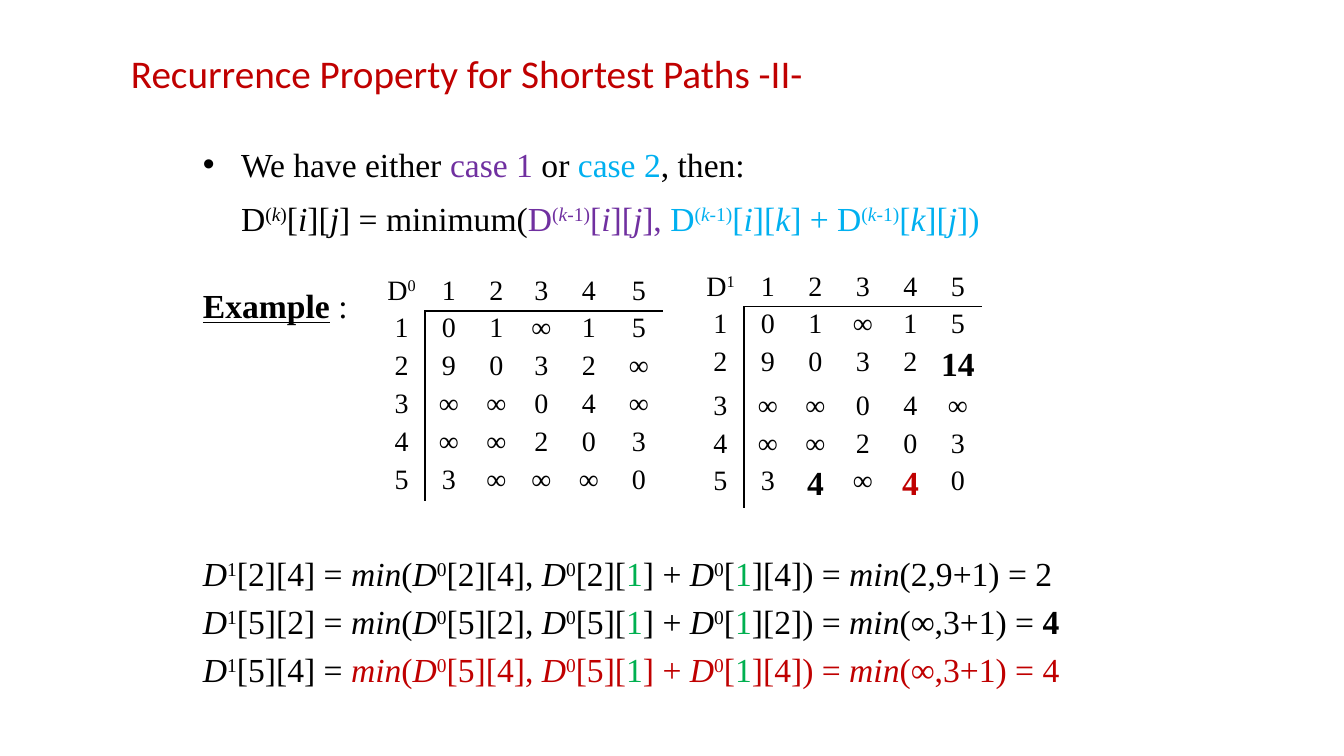
from dataclasses import dataclass, field

from lxml import etree
from pptx import Presentation
from pptx.dml.color import RGBColor
from pptx.enum.text import MSO_ANCHOR, PP_ALIGN
from pptx.oxml.ns import qn
from pptx.util import Emu, Pt

TOP, MIDDLE = MSO_ANCHOR.TOP, MSO_ANCHOR.MIDDLE
LEFT, CENTER = PP_ALIGN.LEFT, PP_ALIGN.CENTER
EMU_PER_PX = 914400 / 100.8
BLANK_LAYOUT = 6
TOGGLES = {"*": "italic", "!": "bold", "_": "underline", "^": "raised"}


def px(length):
    return Emu(round(length * EMU_PER_PX))


@dataclass(frozen=True)
class Theme:
    serif: str = "Times New Roman"
    sans: str = "Calibri"
    title_size: int = 28
    body_size: int = 24
    cell_size: int = 20
    colors: dict = field(default_factory=lambda: {
        "black": "000000", "red": "C00000", "purple": "7030A0",
        "blue": "00B0F0", "green": "00B050"})


class SlideBuilder:
    """Holds the theme and the current page.

    Markup: *italic* !bold! _underline_ ^raised^ and <color> switches.
    """

    def __init__(self, deck, theme):
        self.theme = theme
        self.page = deck.slides.add_slide(deck.slide_layouts[BLANK_LAYOUT])

    def span(self, para, text, color, style, font_name, size):
        span = para.add_run()
        span.text = text
        formats = {"name": font_name, "size": Pt(size)}
        formats.update({name: True for name in style if name != "raised"})
        for name, value in formats.items():
            setattr(span.font, name, value)
        span.font.color.rgb = RGBColor.from_string(self.theme.colors[color])
        if "raised" in style:
            span._r.get_or_add_rPr().set("baseline", "30000")

    def rich_text(self, para, markup, font_name, size):
        style = set()
        for part in ("<black>" + markup).split("<")[1:]:
            color, body = part.split(">", 1)
            text = ""
            for char in body:
                if char not in TOGGLES:
                    text += char
                    continue
                if text:
                    self.span(para, text, color, style, font_name, size)
                text = ""
                style ^= {TOGGLES[char]}
            if text:
                self.span(para, text, color, style, font_name, size)

    def text_box(self, place, paragraphs, font_name, size, anchor=TOP, insets=(10, 5)):
        """Each paragraph is its markup, space before, indent, bullet and line spacing."""
        frame = self.page.shapes.add_textbox(*map(px, place)).text_frame
        side, end = map(px, insets)
        formats = {"word_wrap": True, "vertical_anchor": anchor,
                   "margin_left": side, "margin_right": side,
                   "margin_top": end, "margin_bottom": end}
        for name, value in formats.items():
            setattr(frame, name, value)
        for index, (markup, before, indent, bullet, spacing) in enumerate(paragraphs):
            para = frame.add_paragraph() if index else frame.paragraphs[0]
            properties = para._p.get_or_add_pPr()
            properties.set("marL", str(px(indent)))
            properties.set("indent", str(-px(indent) if bullet else 0))
            if bullet:
                etree.SubElement(properties, qn("a:buFont")).set("typeface", "Arial")
                etree.SubElement(properties, qn("a:buChar")).set("char", bullet)
            para.alignment = LEFT
            para.line_spacing = spacing
            if before:
                para.space_before = Pt(before)
            self.rich_text(para, markup, font_name, size)

    def borders(self, cell, drawn):
        properties = cell._tc.get_or_add_tcPr()
        for side in "LRTB":
            line = etree.SubElement(properties, qn("a:ln" + side), w=str(Pt(1)))
            if side in drawn:
                fill = etree.SubElement(line, qn("a:solidFill"))
                etree.SubElement(fill, qn("a:srgbClr"), val=self.theme.colors["black"])
            else:
                etree.SubElement(line, qn("a:noFill"))

    def matrix(self, left, top, widths, heights, rows):
        """Draws a distance matrix, with rules under and beside its headings."""
        table = self.page.shapes.add_table(
            len(heights), len(widths), px(left), px(top),
            px(sum(widths)), px(sum(heights))).table
        table.first_row = table.horz_banding = False
        for column, width in zip(table.columns, widths):
            column.width = px(width)
        for row, height in zip(table.rows, heights):
            row.height = px(height)
        formats = {"margin_left": px(4), "margin_right": px(4),
                   "margin_top": px(2), "margin_bottom": px(2),
                   "vertical_anchor": TOP}
        for r, row in enumerate(rows):
            for c, markup in enumerate(row.split()):
                cell = table.cell(r, c)
                for name, value in formats.items():
                    setattr(cell, name, value)
                rules = {"R": r and c == 0, "L": r and c == 1,
                         "B": c and r == 0, "T": c and r == 1}
                self.borders(cell, [side for side, drawn in rules.items() if drawn])
                cell.fill.background()
                para = cell.text_frame.paragraphs[0]
                para.alignment = CENTER
                size = self.theme.body_size if "!" in markup else self.theme.cell_size
                self.rich_text(para, markup, self.theme.serif, size)


def worked_step(i, j, values, result, tint="black"):
    """Spells out one entry of D1, going through vertex 1."""
    return (f"*D*^1^[{i}][{j}] = <{tint}>*min*(*D*^0^[{i}][{j}], "
            f"*D*^0^[{i}][<green>1<{tint}>] + *D*^0^[<green>1<{tint}>][{j}]) = "
            f"*min*({values}) = {result}")


def main():
    deck = Presentation()
    deck.slide_width, deck.slide_height = px(1344), px(756)
    theme = Theme()
    slide = SlideBuilder(deck, theme)

    # Recurrence
    previous = "D^(*k*-1)^"
    recurrence = (f"D^(*k*)^[*i*][*j*] = minimum(<purple>{previous}[*i*][*j*], "
                  f"<blue>{previous}[*i*][*k*] + {previous}[*k*][*j*])")
    slide.text_box((193, 143, 932, 118), [
        ("We have either <purple>case 1 <black>or <blue>case 2<black>, then:",
         0, 38, "•", 0.9),
        (recurrence, 9.7, 38, None, 1.0),
        ("!_Example_! :", 33.5, 0, None, 1.0),
    ], theme.serif, theme.body_size)

    # Distance matrices
    slide.matrix(378, 273, [47, 48, 47, 43, 52, 48], [38] * 6, [
        "D^0^ 1 2 3 4 5",
        "1 0 1 ∞ 1 5",
        "2 9 0 3 2 ∞",
        "3 ∞ ∞ 0 4 ∞",
        "4 ∞ ∞ 2 0 3",
        "5 3 ∞ ∞ ∞ 0"])
    slide.matrix(697, 269, [47, 48] * 3, [36, 36, 42] * 2, [
        "D^1^ 1 2 3 4 5",
        "1 0 1 ∞ 1 5",
        "2 9 0 3 2 !14!",
        "3 ∞ ∞ 0 4 ∞",
        "4 ∞ ∞ 2 0 3",
        "5 3 !4! ∞ <red>!4! 0"])

    # Worked steps
    steps = [worked_step(2, 4, "2,9+1", "2"),
             worked_step(5, 2, "∞,3+1", "!4!"),
             worked_step(5, 4, "∞,3+1", "4", "red")]
    slide.text_box((193, 548, 975, 148), [
        (step, 5.6 if index else 0, 0, None, 1.0) for index, step in enumerate(steps)
    ], theme.serif, theme.body_size)

    # Title
    slide.text_box((129, 31, 1008, 84), [
        ("<red>Recurrence Property for Shortest Paths -II-", 0, 0, None, 1.0),
    ], theme.sans, theme.title_size, MIDDLE, (2, 1))

    deck.save("out.pptx")


if __name__ == "__main__":
    main()
